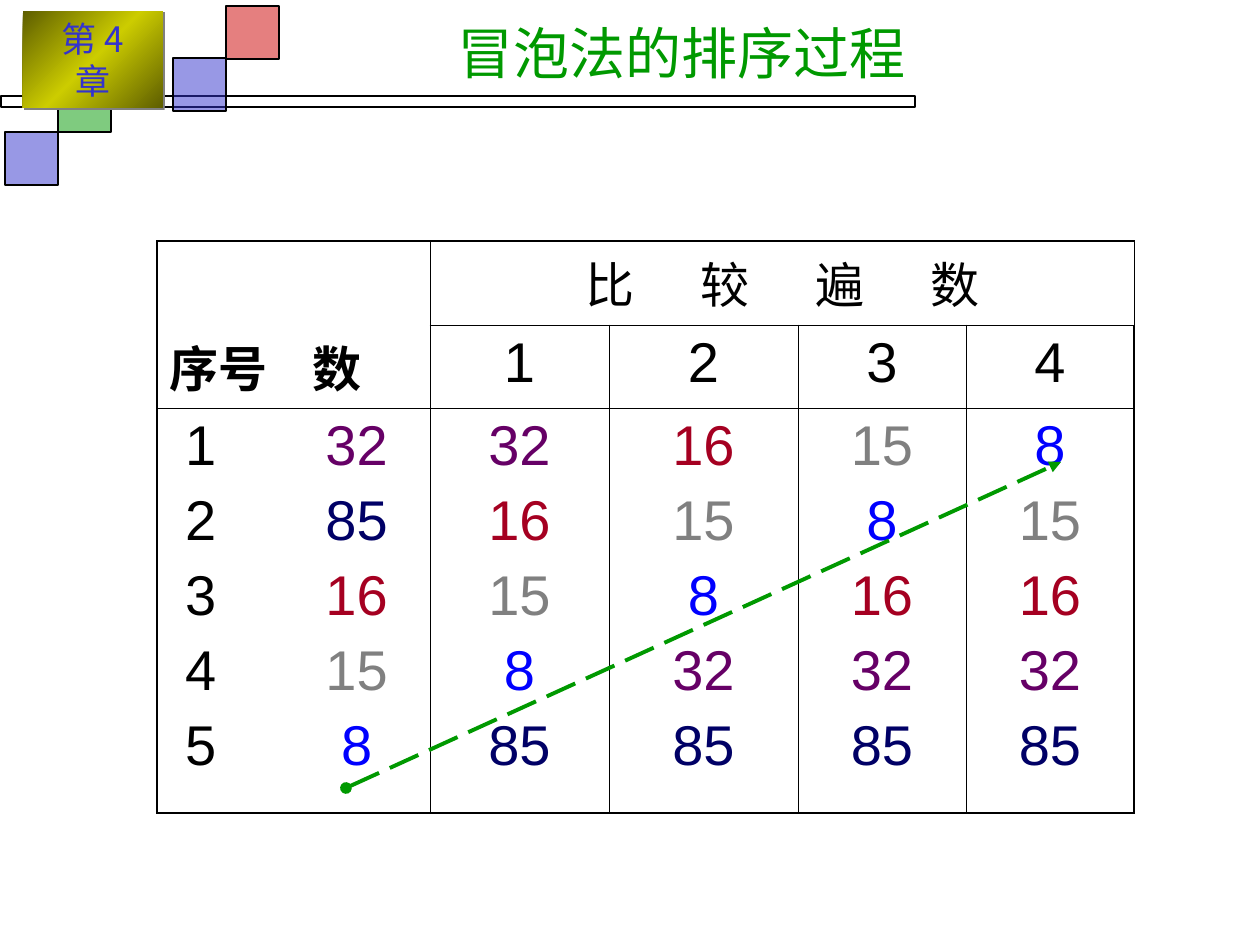
"""Build the bubble sort slide: a table of passes with the rising value marked."""
from lxml.etree import SubElement
from pptx import Presentation
from pptx.dml.color import RGBColor
from pptx.enum.dml import MSO_LINE
from pptx.enum.shapes import MSO_CONNECTOR, MSO_SHAPE
from pptx.enum.text import MSO_ANCHOR, PP_ALIGN
from pptx.oxml import parse_xml
from pptx.oxml.ns import nsdecls, qn
from pptx.util import Emu, Pt

THEME = {
    "black": "000000", "green": "009900", "blue": "3333CC", "red": "CC0000",
    "shadow": "808080", "gold": "CCCC00", "dark_gold": "5E5E00",
    "values": {32: "660066", 85: "000066", 16: "A50021", 15: "808080", 8: "0000FF"},
    "title": {"size": Pt(32), "name": "Roboto"},
    "badge": {"size": Pt(20), "name": "Noto Sans CJK JP"},
    "heading": {"size": Pt(28), "name": "Arial"},
    "stub": {"size": Pt(28), "name": "Arial", "bold": True},
    "number": {"size": Pt(32), "name": "Arial"},
    "outer": 1.08, "inner": 0.45,
}
PX = 914400 / 126


def px(*lengths):
    return [Emu(round(length * PX)) for length in lengths]


def write(frame, lines, font, tabs=(), **layout):
    for index, line in enumerate(lines):
        paragraph = frame.add_paragraph() if index else frame.paragraphs[0]
        if tabs:
            stops = SubElement(paragraph._p.get_or_add_pPr(), qn("a:tabLst"))
            for position, kind in tabs:
                SubElement(stops, qn("a:tab"), pos=str(px(position)[0]), algn=kind)
        if index:
            paragraph.space_before = Pt(7)
        for attribute, value in layout.items():
            setattr(paragraph, attribute, value)
        for text, color in line:
            run = paragraph.add_run()
            run.text = text
            for attribute, value in THEME[font].items():
                setattr(run.font, attribute, value)
            run.font.color.rgb = RGBColor.from_string(color)


deck = Presentation()
deck.slide_width, deck.slide_height = px(1260, 945)
slide = deck.slides.add_slide(deck.slide_layouts[6])

title = slide.shapes.add_textbox(*px(267, 10, 829, 84)).text_frame
title.word_wrap = True
title.vertical_anchor = MSO_ANCHOR.MIDDLE
write(title, [[("冒泡法的排序过程", THEME["green"])]], "title", alignment=PP_ALIGN.CENTER)

column_widths = [273, 179, 189, 168, 168]
row_heights = [84, 83, 405]
passes = [
    [32, 16, 15, 8, 85],
    [16, 15, 8, 32, 85],
    [15, 8, 16, 32, 85],
    [8, 15, 16, 32, 85],
]
start = [32, 85, 16, 15, 8]

table = slide.shapes.add_table(
    3, 5, *px(157, 241, sum(column_widths), sum(row_heights))
).table
for flag in ("first_row", "horz_banding"):
    setattr(table, flag, False)
for column, width in zip(table.columns, px(*column_widths)):
    column.width = width
for row, height in zip(table.rows, px(*row_heights)):
    row.height = height

for row in range(3):
    for column in range(5):
        cell = table.cell(row, column)
        properties = cell._tc.get_or_add_tcPr()
        edges = {"L": column == 0, "R": column == 4, "T": row == 0, "B": row == 2}
        for side, is_outer in edges.items():
            weight = Pt(THEME["outer" if is_outer else "inner"])
            border = SubElement(properties, qn(f"a:ln{side}"), w=str(weight))
            ink = SubElement(border, qn("a:solidFill"))
            SubElement(ink, qn("a:srgbClr"), val=THEME["black"])
        cell.fill.background()

stub = table.cell(0, 0)
stub.merge(table.cell(1, 0))
stub.vertical_anchor = MSO_ANCHOR.BOTTOM
write(stub.text_frame, [[("序号\t数", THEME["black"])]], "stub", [(143, "l")])

passes_heading = table.cell(0, 1)
passes_heading.merge(table.cell(0, 4))
write(passes_heading.text_frame, [[("\t比\t较\t遍\t数", THEME["black"])]], "heading",
      [(167 + 115 * step, "ctr") for step in range(4)])

numbered = [
    [(f"\t{number}\t", THEME["black"]), (str(value), THEME["values"][value])]
    for number, value in enumerate(start, 1)
]
write(table.cell(2, 0).text_frame, numbered, "number", [(31, "ctr"), (187, "ctr")])

for number, values in enumerate(passes, 1):
    write(table.cell(1, number).text_frame, [[(str(number), THEME["black"])]],
          "number", alignment=PP_ALIGN.CENTER)
    write(table.cell(2, number).text_frame,
          [[(str(value), THEME["values"][value])] for value in values],
          "number", alignment=PP_ALIGN.CENTER)

rise = slide.shapes.add_connector(MSO_CONNECTOR.STRAIGHT, *px(346, 788, 1061, 462))
rise.line.color.rgb = RGBColor.from_string(THEME["green"])
rise.line.width = Pt(2.25)
rise.line.dash_style = MSO_LINE.LONG_DASH
for end, kind in (("headEnd", "oval"), ("tailEnd", "triangle")):
    SubElement(rise.line._ln, qn(f"a:{end}"), type=kind)
SubElement(rise._element.spPr, qn("a:effectLst"))

ornament = slide.shapes.add_group_shape().shapes
blocks = [
    (1, 96, 914, 11, None),
    (173, 58, 53, 53, "blue"),
    (5, 132, 53, 53, "blue"),
    (58, 79, 53, 53, "green"),
    (226, 6, 53, 53, "red"),
]
for left, top, width, height, color in blocks:
    block = ornament.add_shape(MSO_SHAPE.RECTANGLE, *px(left, top, width, height))
    block.shadow.inherit = False
    block.line.color.rgb = RGBColor.from_string(THEME["black"])
    block.line.width = Pt(1.5)
    if color:
        block.fill.solid()
        block.fill.fore_color.rgb = RGBColor.from_string(THEME[color])
        tint = block._element.spPr.find(qn("a:solidFill"))[0]
        SubElement(tint, qn("a:alpha"), val="50000")
    else:
        block.fill.background()

badge = ornament.add_shape(MSO_SHAPE.RECTANGLE, *px(23, 11, 140, 97))
badge.line.fill.background()
badge.shadow.inherit = False
stops = "".join(
    f'<a:gs pos="{position}"><a:srgbClr val="{THEME[color]}"/></a:gs>'
    for position, color in ((0, "dark_gold"), (50000, "gold"), (100000, "dark_gold"))
)
badge.line._ln.addprevious(parse_xml(
    f'<a:gradFill {nsdecls("a")}><a:gsLst>{stops}</a:gsLst>'
    '<a:lin ang="2700000" scaled="1"/></a:gradFill>'
))
badge._element.spPr.find(qn("a:effectLst")).append(parse_xml(
    f'<a:outerShdw {nsdecls("a")} dist="{Pt(1.4)}" dir="2700000">'
    f'<a:srgbClr val="{THEME["shadow"]}"/></a:outerShdw>'
))
chapter = badge.text_frame
chapter_format = {
    "word_wrap": True, "vertical_anchor": MSO_ANCHOR.MIDDLE,
    "margin_left": px(23)[0], "margin_right": px(23)[0],
}
for attribute, value in chapter_format.items():
    setattr(chapter, attribute, value)
write(chapter, [[("第 4 章", THEME["blue"])]], "badge",
      alignment=PP_ALIGN.CENTER, line_spacing=Pt(24))

deck.save("out.pptx")
